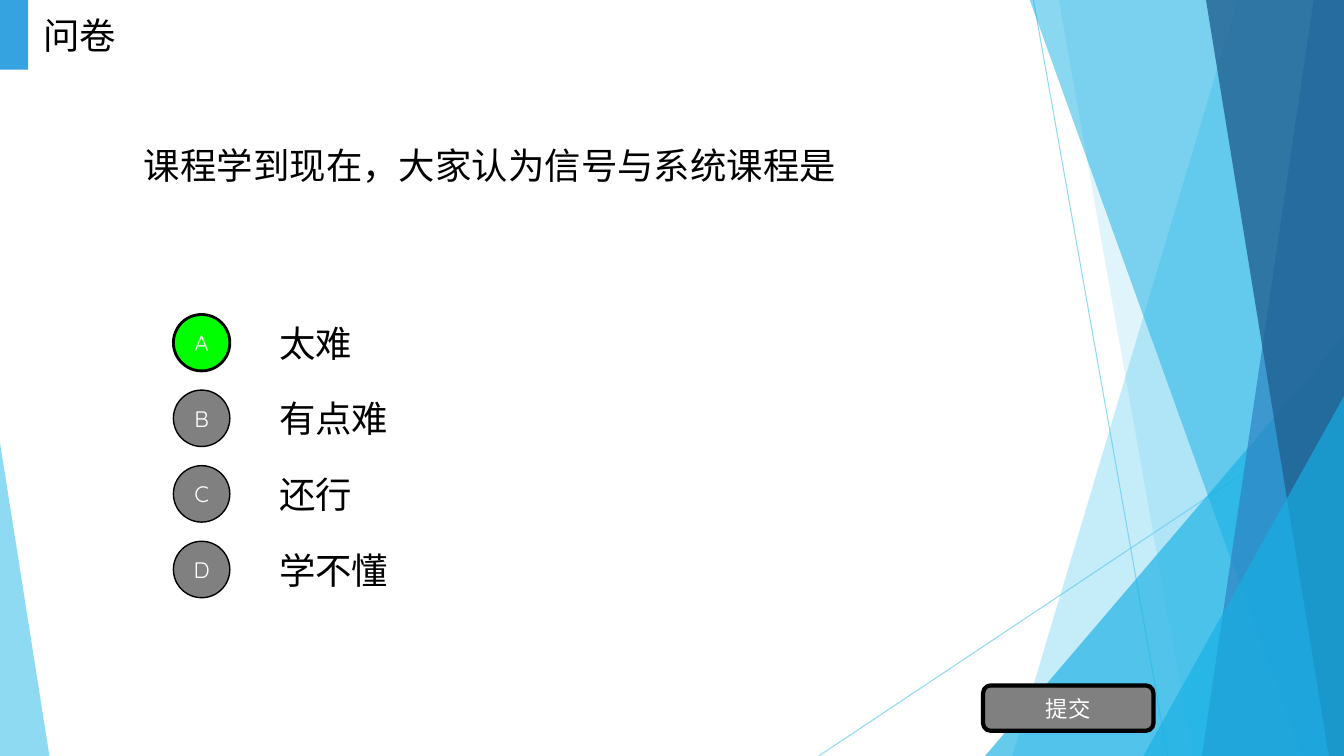
from lxml import etree
from pptx import Presentation
from pptx.dml.color import RGBColor
from pptx.enum.shapes import MSO_CONNECTOR, MSO_SHAPE
from pptx.enum.text import MSO_ANCHOR, PP_ALIGN
from pptx.oxml.ns import qn
from pptx.util import Inches, Pt

STRAIGHT = MSO_CONNECTOR.STRAIGHT
TRIANGLE = MSO_SHAPE.ISOSCELES_TRIANGLE
OVAL = MSO_SHAPE.OVAL
RECTANGLE = MSO_SHAPE.RECTANGLE
ROUNDED = MSO_SHAPE.ROUNDED_RECTANGLE
MIDDLE = MSO_ANCHOR.MIDDLE
LEFT, CENTER = PP_ALIGN.LEFT, PP_ALIGN.CENTER

WIDTH, HEIGHT = 13.33, 7.5
FONT = "Quicksand"
COLORS = {
    "sky": "5FCBEF",
    "cyan": "17B0E4",
    "blue": "2E83C3",
    "navy": "226292",
    "accent": "36A3E1",
    "selected": "00FF00",
    "gray": "808080",
    "black": "000000",
    "white": "FFFFFF",
}


class SurveySlide:
    def __init__(self, slide):
        self.shapes = slide.shapes

    def paint(self, color_format, color):
        color_format.rgb = RGBColor.from_string(COLORS[color])

    def fade(self, shape, opacity):
        if opacity < 100:
            rgb = next(shape._element.spPr.iter(qn("a:srgbClr")))
            etree.SubElement(rgb, qn("a:alpha"), val=str(opacity * 1000))

    def fill(self, shape, color, opacity):
        shape.shadow.inherit = False
        shape.fill.solid()
        self.paint(shape.fill.fore_color, color)
        self.fade(shape, opacity)
        shape.line.fill.background()

    def ray(self, x1, y1, x2, y2):
        ray = self.shapes.add_connector(
            STRAIGHT, Inches(x1), Inches(y1), Inches(x2), Inches(y2))
        ray.line.width = Pt(0.75)
        self.paint(ray.line.color, "sky")
        self.fade(ray, 70)
        etree.SubElement(ray._element.spPr, qn("a:effectLst"))

    def band(self, top_x, bottom_x, color, opacity):
        top = -0.01
        builder = self.shapes.build_freeform(Inches(top_x), Inches(top))
        corners = [(WIDTH, top), (WIDTH, HEIGHT), (bottom_x, HEIGHT)]
        builder.add_line_segments(
            [(Inches(x), Inches(y)) for x, y in corners], close=True)
        self.fill(builder.convert_to_shape(), color, opacity)

    def corner(self, left, top, width, apex, color, opacity):
        corner = self.block(TRIANGLE, left, top, width, HEIGHT - top, color, opacity)
        corner.adjustments[0] = apex

    def block(self, kind, left, top, width, height, color, opacity=100):
        block = self.shapes.add_shape(
            kind, Inches(left), Inches(top), Inches(width), Inches(height))
        self.fill(block, color, opacity)
        return block

    def set_text(self, frame, text, size, color, align):
        frame.word_wrap = True
        frame.vertical_anchor = MIDDLE
        paragraph = frame.paragraphs[0]
        paragraph.text = text
        paragraph.alignment = align
        font = paragraph.runs[0].font
        font.name = FONT
        font.size = Pt(size)
        self.paint(font.color, color)

    def text(self, text, left, top, width, height):
        box = self.shapes.add_textbox(
            Inches(left), Inches(top), Inches(width), Inches(height))
        self.set_text(box.text_frame, text, 26, "black", LEFT)

    def button(self, kind, text, left, top, width, height, color, border):
        button = self.block(kind, left, top, width, height, color)
        button.line.width = Pt(border)
        self.paint(button.line.color, "black")
        frame = button.text_frame
        frame.margin_left = frame.margin_right = 0
        frame.margin_top = frame.margin_bottom = 0
        self.set_text(frame, text, 16, "white", CENTER)


def draw_backdrop(survey):
    survey.ray(10.25, 0, 11.58, HEIGHT)
    survey.ray(WIDTH, 4.03, 8.12, HEIGHT)
    survey.band(12.28, 10.04, "sky", 36)
    survey.band(10.5, 11.83, "sky", 20)
    survey.corner(9.77, 3.33, 3.56, 1, "cyan", 66)
    survey.band(10.21, 12.91, "cyan", 50)
    survey.band(13.03, 11.92, "blue", 70)
    survey.band(11.96, 13.18, "navy", 80)
    survey.corner(11.34, 3.93, 1.99, 1, "cyan", 66)
    survey.corner(0, 4.39, 0.49, 0, "sky", 70)


def draw_survey(survey):
    survey.text("课程学到现在，大家认为信号与系统课程是", 1.33, 0.47, 10.67, 2.34)
    answers = ["太难", "有点难", "还行", "学不懂"]
    pitch = 0.75
    for row, answer in enumerate(answers):
        survey.text(answer, 2.67, 3.05 + row * pitch, 9.33, 0.7)
    for row, letter in enumerate("ABCD"):
        color, border = ("selected", 2) if row == 0 else ("gray", 1)
        survey.button(OVAL, letter, 1.72, 3.12 + row * pitch, 0.56, 0.56, color, border)
    survey.button(ROUNDED, "提交", 9.75, 6.8, 1.69, 0.45, "gray", 3)
    survey.block(RECTANGLE, 0, 0, 0.28, 0.69, "accent")
    survey.text("问卷", 0.33, 0, 1.39, 0.69)


def main():
    presentation = Presentation()
    presentation.slide_width = Inches(WIDTH)
    presentation.slide_height = Inches(HEIGHT)
    survey = SurveySlide(presentation.slides.add_slide(presentation.slide_layouts[6]))
    draw_backdrop(survey)
    draw_survey(survey)
    presentation.save("out.pptx")


if __name__ == "__main__":
    main()
